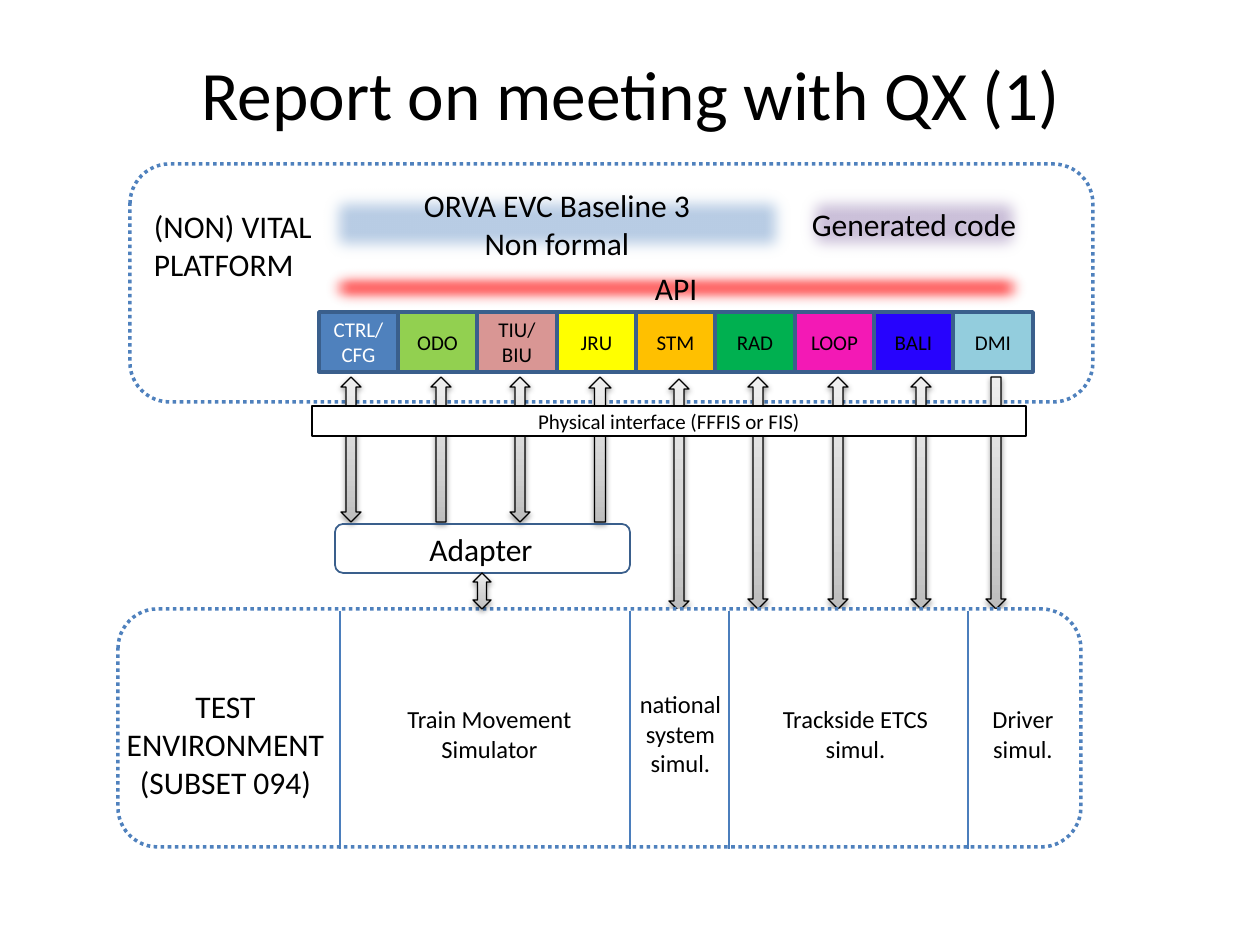
from lxml import etree
from pptx import Presentation
from pptx.dml.color import RGBColor
from pptx.enum.dml import MSO_LINE
from pptx.enum.shapes import MSO_CONNECTOR, MSO_SHAPE
from pptx.enum.text import MSO_ANCHOR, PP_ALIGN
from pptx.util import Pt

PX = 914400 // 126
NS = "http://schemas.openxmlformats.org/drawingml/2006/main"
RECT, ROUND = MSO_SHAPE.RECTANGLE, MSO_SHAPE.ROUNDED_RECTANGLE
UP, DOWN, BOTH = MSO_SHAPE.UP_ARROW, MSO_SHAPE.DOWN_ARROW, MSO_SHAPE.UP_DOWN_ARROW
STRAIGHT = MSO_CONNECTOR.STRAIGHT
DOTS = MSO_LINE.ROUND_DOT
LEFT, CENTER = PP_ALIGN.LEFT, PP_ALIGN.CENTER
TOP, MIDDLE = MSO_ANCHOR.TOP, MSO_ANCHOR.MIDDLE

BLACK = RGBColor(0x00, 0x00, 0x00)
WHITE = RGBColor(0xFF, 0xFF, 0xFF)
BLUE = RGBColor(0x4F, 0x81, 0xBD)
NAVY = RGBColor(0x3A, 0x5F, 0x8C)
RULE = RGBColor(0x4B, 0x7E, 0xBC)
SKY = RGBColor(0xB9, 0xCD, 0xE5)
LILAC = RGBColor(0xCC, 0xC1, 0xDA)
RED = RGBColor(0xFF, 0x00, 0x00)
GREEN = RGBColor(0x92, 0xD0, 0x50)
ROSE = RGBColor(0xD9, 0x96, 0x94)
YELLOW = RGBColor(0xFF, 0xFF, 0x00)
AMBER = RGBColor(0xFF, 0xC0, 0x00)
JADE = RGBColor(0x00, 0xB0, 0x50)
PINK = RGBColor(0xF3, 0x19, 0xB5)
INDIGO = RGBColor(0x27, 0x03, 0xFD)
AQUA = RGBColor(0x93, 0xCD, 0xDD)

GRAYS = ((0, "BDBDBD"), (35, "D1D1D1"), (100, "EEEEEE"))
STOPS = "".join(f'<a:gs pos="{pos * 1000}"><a:srgbClr val="{tone}"/></a:gs>'
                for pos, tone in GRAYS)
SHADE = (f'<a:gradFill xmlns:a="{NS}" rotWithShape="1"><a:gsLst>{STOPS}</a:gsLst>'
         '<a:lin ang="16200000" scaled="0"/></a:gradFill>')
SHADOW = (f'<a:outerShdw xmlns:a="{NS}" blurRad="40000" dist="20000" dir="5400000" '
          'rotWithShape="0"><a:srgbClr val="000000"><a:alpha val="38000"/></a:srgbClr>'
          '</a:outerShdw>')
SOFT = f'<a:softEdge xmlns:a="{NS}" rad="127000"/>'

UNITS = (("CTRL/\nCFG", BLUE), ("ODO", GREEN), ("TIU/\nBIU", ROSE),
         ("JRU", YELLOW), ("STM", AMBER), ("RAD", JADE),
         ("LOOP", PINK), ("BALI", INDIGO), ("DMI", AQUA))
ARROWS = ((BOTH, 341, 377, 20, 145), (UP, 431, 377, 20, 145),
          (BOTH, 510, 377, 20, 145), (UP, 589, 377, 22, 145),
          (BOTH, 669, 379, 20, 232), (BOTH, 748, 377, 20, 232),
          (BOTH, 828, 377, 20, 232), (BOTH, 911, 377, 20, 232),
          (DOWN, 986, 377, 20, 232))
RULES = (340, 630, 729, 968)
LABELS = (("TEST\nENVIRONMENT\n(SUBSET 094)", 114, 681, 223, 127, 18),
          ("Train Movement Simulator", 378, 698, 223, 72, 14),
          ("national system simul.", 610, 683, 141, 102, 14),
          ("Trackside ETCS\nsimul.", 744, 698, 223, 72, 14),
          ("Driver simul.", 968, 698, 110, 72, 14))


def scale(*sizes):
    return [size * PX for size in sizes]


def effect(shape, xml):
    shape.shadow.inherit = False
    node = shape._element.spPr.find(f"{{{NS}}}effectLst")
    node.append(etree.fromstring(xml))


def write(shape, text, size, color=BLACK, align=CENTER, anchor=MIDDLE):
    frame = shape.text_frame
    frame.word_wrap = True
    frame.vertical_anchor = anchor
    frame.text = text
    style = {"name": "Calibri", "size": Pt(size)}
    for para in frame.paragraphs:
        para.alignment = align
        for key, value in style.items():
            setattr(para.font, key, value)
        para.font.color.rgb = color


def add_box(slide, kind, area, fill, line, width):
    box = slide.shapes.add_shape(kind, *scale(*area))
    box.shadow.inherit = False
    if fill is None:
        box.fill.background()
    else:
        box.fill.solid()
        box.fill.fore_color.rgb = fill
    box.line.color.rgb = line
    box.line.width = Pt(width)
    return box


def add_zone(slide, area):
    zone = add_box(slide, ROUND, area, WHITE, BLUE, 2)
    zone.line.dash_style = DOTS
    return zone


def add_bar(slide, text, area, fill):
    """Add a labelled bar with soft edges."""
    bar = add_box(slide, RECT, area, fill, NAVY, 2)
    effect(bar, SOFT)
    write(bar, text, 18)


def add_units(slide, left, top, width, height):
    """Add the row of interface units, all equally wide."""
    edges = [left + width * i // len(UNITS) for i in range(len(UNITS) + 1)]
    for (text, fill), start, end in zip(UNITS, edges, edges[1:]):
        unit = add_box(slide, RECT, (start, top, end - start, height), fill, NAVY, 2)
        write(unit, text, 12, WHITE if fill == BLUE else BLACK)


def add_arrow(slide, kind, *area):
    arrow = slide.shapes.add_shape(kind, *scale(*area))
    arrow._element.spPr.insert(2, etree.fromstring(SHADE))
    arrow.line.color.rgb = BLACK
    arrow.line.width = Pt(0.75)
    effect(arrow, SHADOW)


def add_rule(slide, x, top, bottom):
    rule = slide.shapes.add_connector(STRAIGHT, *scale(x, top, x, bottom))
    rule.line.color.rgb = RULE
    rule.line.width = Pt(0.75)
    etree.SubElement(rule._element.spPr, f"{{{NS}}}effectLst")


def add_label(slide, text, area, size, align=CENTER, anchor=TOP):
    label = slide.shapes.add_textbox(*scale(*area))
    write(label, text, size, align=align, anchor=anchor)


def main():
    deck = Presentation()
    deck.slide_width, deck.slide_height = scale(1260, 945)
    slide = deck.slides.add_slide(deck.slide_layouts[6])
    add_label(slide, "Report on meeting with QX (1)", (64, 43, 1134, 100), 39.6,
              anchor=MIDDLE)

    platform = add_zone(slide, (130, 164, 963, 238))
    write(platform, "(NON) VITAL\nPLATFORM", 18, align=LEFT)
    platform.text_frame.margin_bottom = 82 * PX
    add_bar(slide, "API", (319, 263, 714, 49), RED)
    add_units(slide, 319, 312, 714, 60)
    add_bar(slide, "ORVA EVC Baseline 3\nNon formal", (319, 184, 476, 79), SKY)
    add_bar(slide, "Generated code", (795, 184, 238, 79), LILAC)
    for arrow in ARROWS:
        add_arrow(slide, *arrow)

    add_zone(slide, (118, 609, 963, 238))
    add_box(slide, ROUND, (335, 524, 295, 49), None, NAVY, 1)
    add_label(slide, "Adapter", (417, 524, 144, 50), 18, LEFT)
    for x in RULES:
        add_rule(slide, x, 611, 849)
    for text, *area, size in LABELS:
        add_label(slide, text, area, size)
    physical = add_box(slide, RECT, (312, 406, 714, 30), WHITE, BLACK, 1)
    write(physical, "Physical interface (FFFIS or FIS)", 12)
    add_arrow(slide, BOTH, 473, 573, 18, 36)
    deck.save("out.pptx")


if __name__ == "__main__":
    main()
